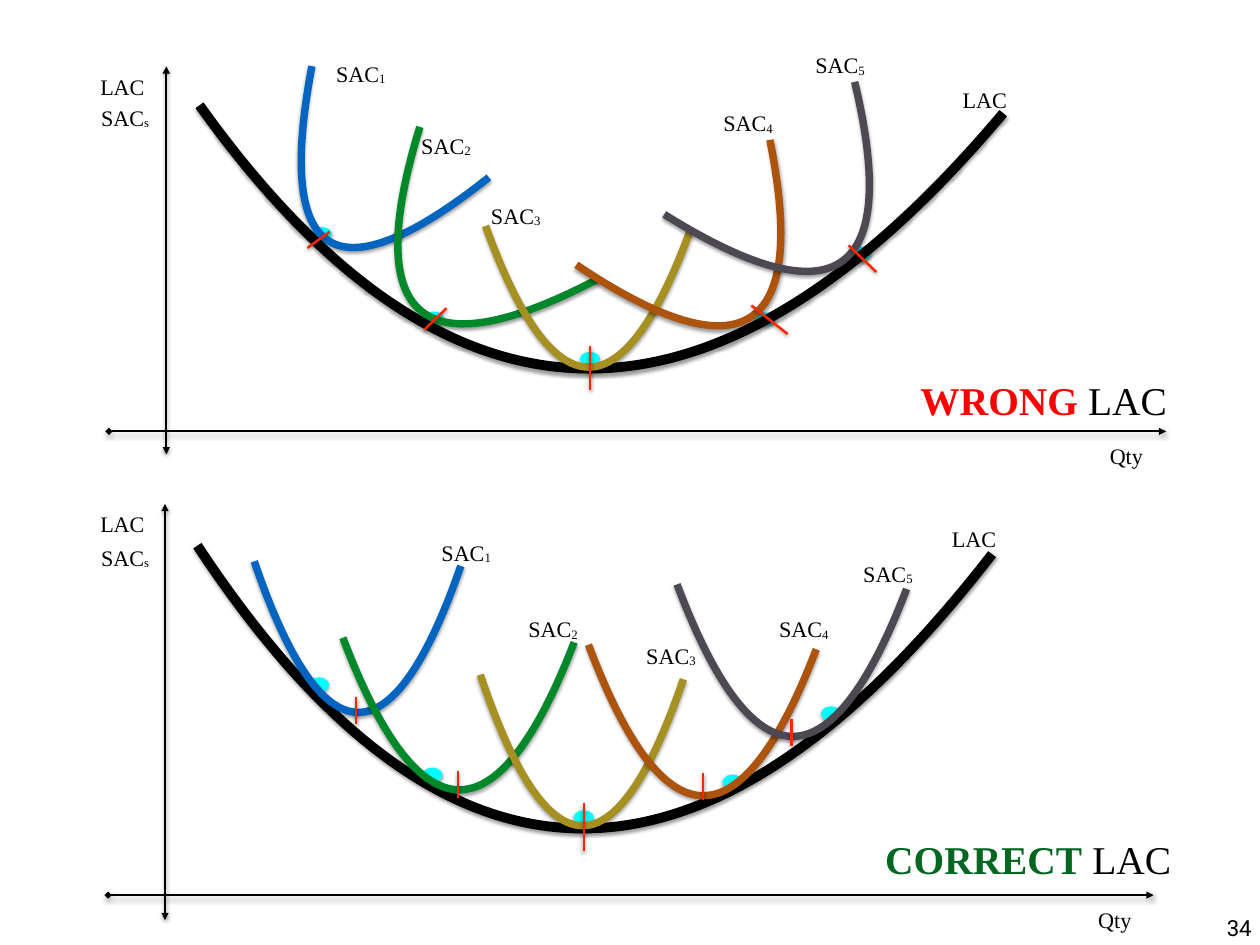
from lxml import etree
from pptx import Presentation
from pptx.dml.color import RGBColor
from pptx.enum.shapes import MSO_CONNECTOR, MSO_SHAPE
from pptx.enum.text import MSO_AUTO_SIZE, PP_ALIGN
from pptx.oxml import parse_xml
from pptx.oxml.ns import nsdecls, qn
from pptx.util import Cm, Pt

STRAIGHT = MSO_CONNECTOR.STRAIGHT
OVAL = MSO_SHAPE.OVAL
GROW = MSO_AUTO_SIZE.SHAPE_TO_FIT_TEXT
CENTER = PP_ALIGN.CENTER

BLACK = RGBColor(0x00, 0x00, 0x00)
CYAN = RGBColor(0x00, 0xFD, 0xFF)
TICK = RGBColor(0xFF, 0x26, 0x00)
RED = RGBColor(0xFF, 0x00, 0x00)
GREEN = RGBColor(0x00, 0x66, 0x20)
HUES = [RGBColor(0x03, 0x65, 0xC0), RGBColor(0x00, 0x88, 0x2B),
        RGBColor(0xA6, 0x90, 0x22), RGBColor(0xAC, 0x53, 0x0E),
        RGBColor(0x4E, 0x48, 0x52)]
SERIF = "Times New Roman"


def finish(shape, color, width):
    """Set the line and the soft shadow below it."""
    shape.line.color.rgb = color
    shape.line.width = Pt(width)
    shape._element.spPr.append(parse_xml(
        f'<a:effectLst {nsdecls("a")}><a:outerShdw blurRad="38100" dist="20320" '
        'dir="5400000" rotWithShape="0"><a:srgbClr val="000000">'
        '<a:alpha val="38000"/></a:srgbClr></a:outerShdw></a:effectLst>'))


def write(shapes, box, runs, size=18, font=SERIF, wrap=False, inset=0.18):
    """Add a centred text box; each run is (text, color, bold, lowered)."""
    frame = shapes.add_textbox(*map(Cm, box)).text_frame
    frame.word_wrap = wrap
    frame.auto_size = GROW
    frame.margin_left = frame.margin_right = Cm(inset)
    frame.margin_top = frame.margin_bottom = Cm(0.18)
    para = frame.paragraphs[0]
    para.alignment = CENTER
    for text, color, bold, low in runs:
        run = para.add_run()
        run.text = text
        run.font.size = Pt(size)
        run.font.name = font
        run.font.bold = bold
        run.font.color.rgb = color
        if low:
            run._r.get_or_add_rPr().set("baseline", "-6000")


# Boxes are left, top, width, height; curves end with their turn in degrees.
PANELS = [
    dict(
        dots=[(8.97, 6.55), (12.19, 8.97), (16.66, 10.13), (21.67, 8.99), (24.43, 7.11)],
        dot=(0.51, 0.33),
        long=(5.72, 3.02, 23.04, 7.57),
        short=[(7.47, 3.15, 5.99, 4.06, 31), (9.98, 5.31, 6.71, 4.06, 39.5),
               (13.92, 6.48, 5.87, 4.06, 0), (17.09, 5.41, 6.6, 4.04, 326.1),
               (19.61, 3.81, 6.65, 4.09, 324.1)],
        axes=[(4.77, 13.03, 4.77, 1.9), (3.12, 12.37, 33.43, 12.37)],
        ticks=[(8.81, 7.11, 9.45, 6.65), (12.17, 9.45, 12.8, 8.84),
               (16.92, 11.18, 16.92, 9.91), (22.58, 9.58, 21.54, 8.76),
               (25.12, 7.8, 24.33, 7.04)],
        names=[(9.45, 1.55), (11.89, 3.61), (13.89, 5.61), (20.55, 2.97), (23.19, 1.3)],
        side=(2.72, 2.81), top=(2.69, 1.92), end=(27.41, 2.31), qty=(31.17, 12.5),
        high=1.07,
        title=(25.93, 10.62, 7.98, 1.73), word="WRONG", hue=RED),
    dict(
        dots=[(8.89, 19.46), (12.14, 22.05), (16.48, 23.27), (20.75, 22.25), (23.57, 20.29)],
        dot=(0.51, 0.36),
        long=(5.66, 15.65, 22.78, 8.13),
        short=[(7.29, 16.1, 5.92, 4.34, 0), (9.83, 18.29, 6.63, 4.37, 0),
               (13.77, 19.35, 5.82, 4.34, 0), (16.87, 18.49, 6.53, 4.34, 0),
               (19.41, 16.76, 6.58, 4.37, 0)],
        axes=[(4.73, 26.39, 4.73, 14.45), (3.1, 25.67, 33.07, 25.67)],
        ticks=[(10.21, 20.75, 10.21, 19.99), (13.13, 22.89, 13.13, 22.12),
               (16.74, 24.41, 16.74, 23.04), (20.16, 22.94, 20.16, 22.17),
               (22.69, 21.39, 22.69, 20.62)],
        names=[(12.47, 15.28), (14.96, 17.48), (18.34, 18.24), (22.15, 17.48), (24.56, 15.88)],
        side=(2.72, 15.42), top=(2.69, 14.45), end=(27.1, 14.88), qty=(30.84, 25.81),
        high=1.14,
        title=(25.12, 23.76, 8.71, 1.73), word="CORRECT", hue=GREEN),
]

deck = Presentation()
deck.slide_width = Cm(36.12)
deck.slide_height = Cm(27.1)
slide = deck.slides.add_slide(deck.slide_layouts[6])

write(slide.shapes, (35.03, 26.03, 0.99, 1.07), [("34", BLACK, False, False)],
      font="Roboto", inset=0.1)

for panel in PANELS:
    shapes = slide.shapes.add_group_shape().shapes

    for spot in panel["dots"]:
        dot = shapes.add_shape(OVAL, *map(Cm, spot + panel["dot"]))
        dot.fill.solid()
        dot.fill.fore_color.rgb = CYAN
        finish(dot, CYAN, 2)

    # Each cost curve is one cubic U that fills its box, from right to left.
    curves = [(panel["long"] + (0,), BLACK, 8, 0.64, 0.31)]
    curves += [(box, hue, 6, 0.67, 0.33) for box, hue in zip(panel["short"], HUES)]
    for (left, top, width, height, turn), hue, weight, near, far in curves:
        points = [(Cm(left + width * x), Cm(top + height * y))
                  for x, y in ((1, 0.03), (near, 1.33), (far, 1.32), (0, 0))]
        pen = shapes.build_freeform(*points[0])
        pen.add_line_segments(points[1:], close=False)
        curve = pen.convert_to_shape()
        # Bend the three segments into one curve and fit the frame to it.
        track = curve._element.spPr.find(".//" + qn("a:path"))
        bend = etree.SubElement(track, qn("a:cubicBezTo"))
        for segment in track.findall(qn("a:lnTo")):
            bend.append(segment[0])
            track.remove(segment)
        track.set("h", str(Cm(height)))
        curve.height = Cm(height)
        curve.rotation = turn
        curve.fill.background()
        finish(curve, hue, weight)

    for ends, head in zip(panel["axes"], ("triangle", "diamond")):
        axis = shapes.add_connector(STRAIGHT, *map(Cm, ends))
        finish(axis, BLACK, 1.5)
        line = axis._element.spPr.find(qn("a:ln"))
        etree.SubElement(line, qn("a:headEnd"), type=head)
        etree.SubElement(line, qn("a:tailEnd"), type="triangle")

    for ends in panel["ticks"]:
        finish(shapes.add_connector(STRAIGHT, *map(Cm, ends)), TICK, 2)

    high = panel["high"]
    labels = [(panel["top"], 1.64, "LAC", ""), (panel["side"], 1.74, "SAC", "s"),
              (panel["end"], 1.64, "LAC", ""), (panel["qty"], 2.24, "Qty", "")]
    labels += [(spot, 1.79, "SAC", str(n)) for n, spot in enumerate(panel["names"], 1)]
    for spot, width, text, low in labels:
        runs = [(text, BLACK, False, False)]
        if low:
            runs.append((low, BLACK, False, True))
        write(shapes, spot + (width, high), runs)

    write(slide.shapes, panel["title"],
          [(panel["word"], panel["hue"], True, False), (" LAC", BLACK, False, False)],
          size=32, wrap=True)

deck.save("out.pptx")
